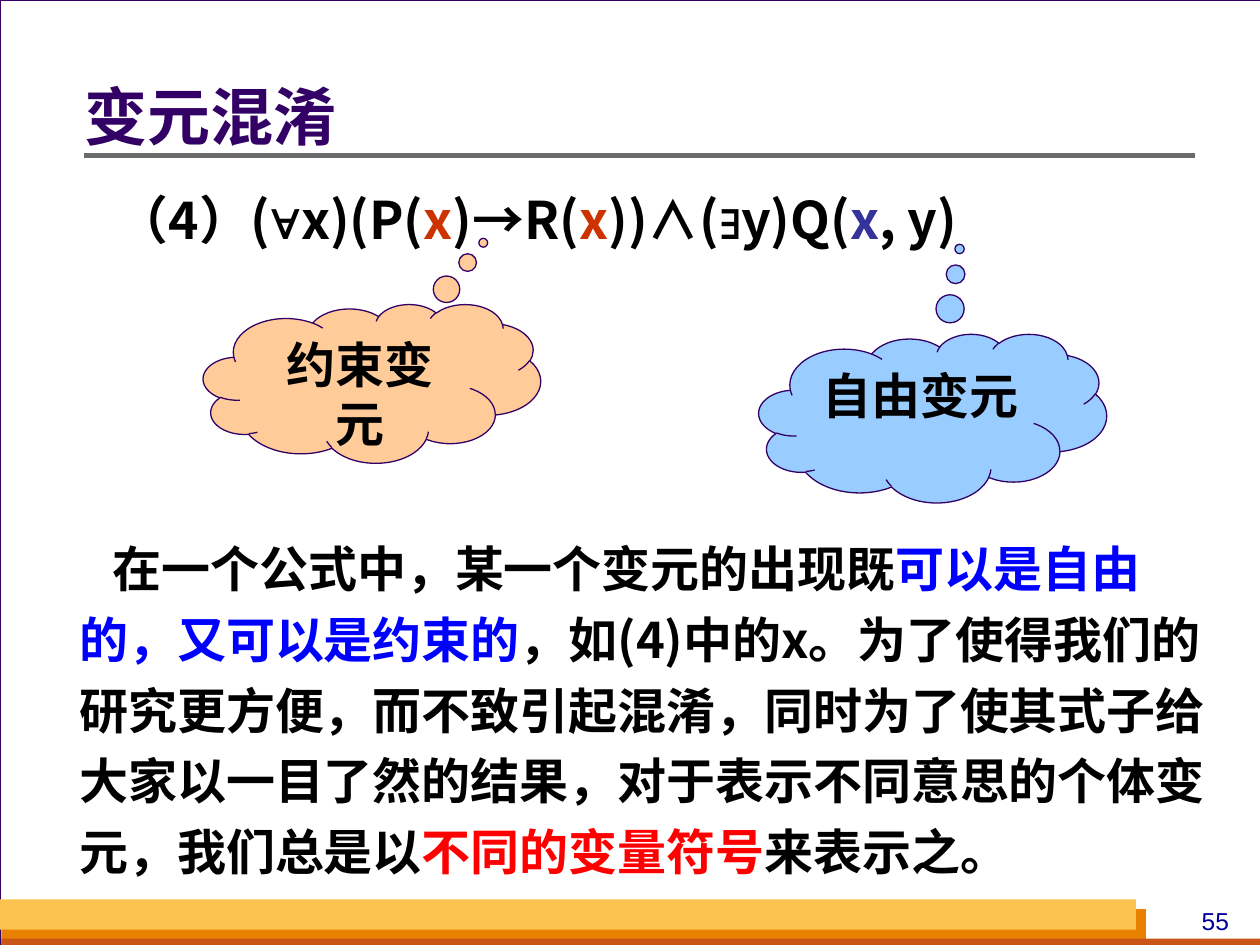
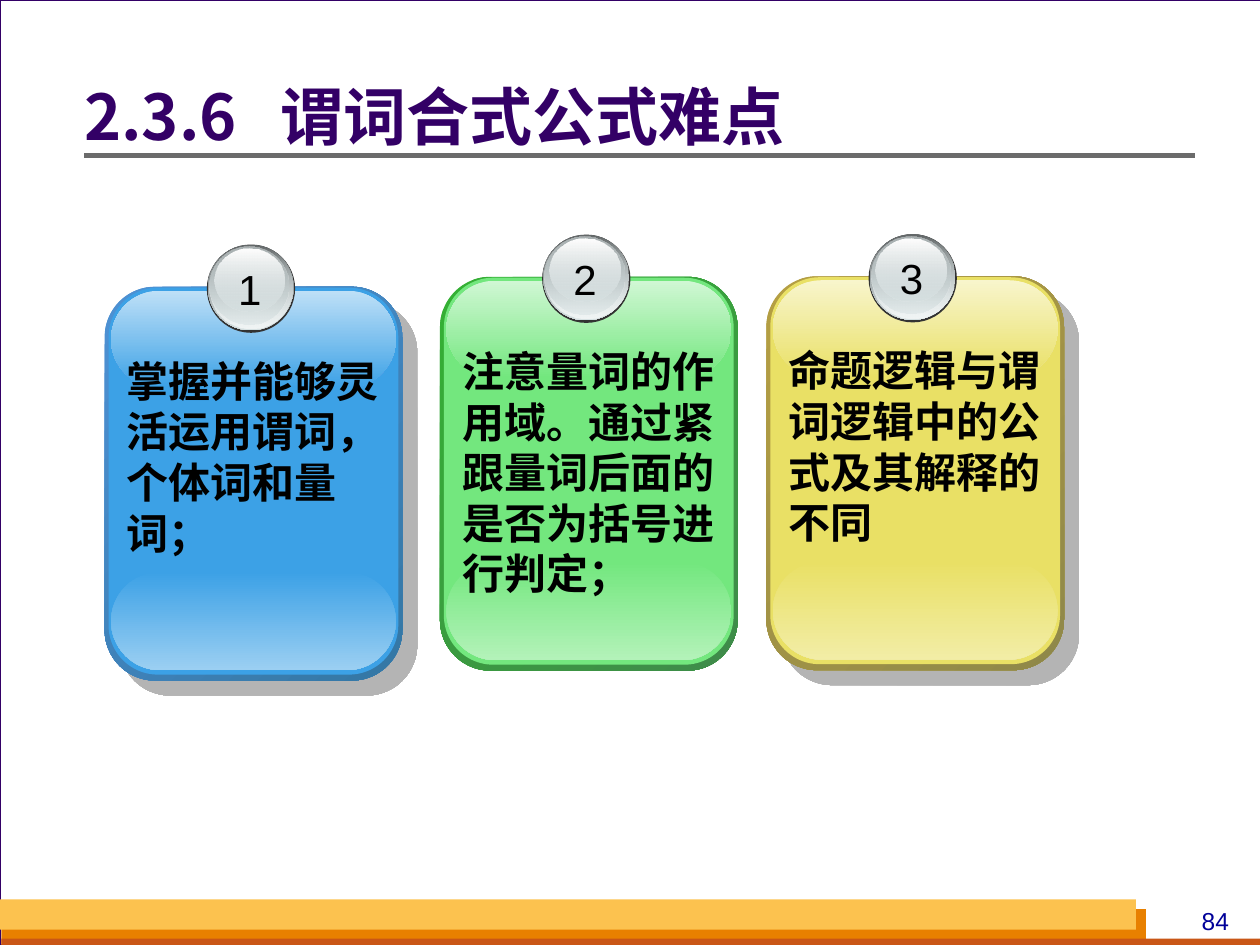
from dataclasses import dataclass
from typing import NamedTuple

from lxml.etree import SubElement
from pptx import Presentation
from pptx.dml.color import RGBColor
from pptx.enum.shapes import MSO_CONNECTOR, MSO_SHAPE as SHAPE
from pptx.enum.text import MSO_ANCHOR as ANCHOR, PP_ALIGN as ALIGN
from pptx.oxml.ns import qn
from pptx.util import Cm, Pt

WHITE = RGBColor(0xFF, 0xFF, 0xFF)
BLACK = RGBColor(0x00, 0x00, 0x00)
BACKDROP = RGBColor(0xD8, 0xDA, 0xDA)
PURPLE = RGBColor(0x33, 0x00, 0x66)
GREY = RGBColor(0x6B, 0x6B, 0x6B)
NAVY = RGBColor(0x00, 0x00, 0x99)
ORANGE = RGBColor(0xE8, 0x80, 0x00)
RUST = RGBColor(0xC9, 0x56, 0x16)
AMBER = RGBColor(0xFC, 0xC2, 0x4F)
BOUND = RGBColor(0xCC, 0x33, 0x00)
FREE = RGBColor(0x33, 0x33, 0x99)
BLUE = RGBColor(0x00, 0x00, 0xFF)
RED = RGBColor(0xFF, 0x00, 0x00)
PEACH = RGBColor(0xFF, 0xCC, 0x99)
SKY = RGBColor(0x99, 0xCC, 0xFF)
RIM = RGBColor(0x33, 0x33, 0x33)
STEEL = RGBColor(0x63, 0x68, 0x69)
SILVER = RGBColor(0xD6, 0xE1, 0xE2)
PALE = RGBColor(0xF1, 0xF5, 0xF5)
ASH = RGBColor(0xAA, 0xB2, 0xB3)

SANS, ARIAL, DEJAVU = "Noto Sans CJK SC", "Arial", "DejaVu Sans"


class Box(NamedTuple):
    x: float
    y: float
    w: float
    h: float

    def moved(self, dx: float, dy: float) -> "Box":
        return Box(self.x + dx, self.y + dy, self.w, self.h)

    def lengths(self) -> list:
        return [Cm(v) for v in self]


class Span(NamedTuple):
    text: str
    color: RGBColor = BLACK
    font: str = ""


class Gradient(NamedTuple):
    start: RGBColor
    end: RGBColor
    angle: int = 90
    start_alpha: int = 100
    end_alpha: int = 100


class Layer(NamedTuple):
    box: Box
    paint: "RGBColor | Gradient"


@dataclass(frozen=True)
class TextStyle:
    size: float
    font: str
    bold: bool = True
    align: ALIGN = ALIGN.LEFT
    leading: float = 0
    indent: float = 0
    tab: float = 0


@dataclass(frozen=True)
class Cloud:
    text: str
    box: Box
    tail: tuple[float, float]
    color: RGBColor
    side: float


@dataclass(frozen=True)
class Card:
    number: str
    text: str
    x: float
    y: float
    edge: Gradient
    face: RGBColor
    top: RGBColor
    bottom: RGBColor
    shadow: bool = True


TITLE = TextStyle(36, SANS, leading=36, tab=3.95)
FORMULA = TextStyle(29.6, SANS, leading=39.2)
BODY = TextStyle(28, SANS, leading=40.4, indent=0.67)
CLOUD = TextStyle(28, ARIAL, align=ALIGN.CENTER, leading=33.6)
PAGE = TextStyle(14, ARIAL, bold=False, align=ALIGN.CENTER)
NUMBER = TextStyle(24, ARIAL, bold=False, align=ALIGN.CENTER)
CARD = TextStyle(24, DEJAVU, leading=28.9)

BANDS = (
    Layer(Box(0.03, 18.33, 23.07, 0.72), ORANGE),
    Layer(Box(0.03, 18.92, 25.4, 0.2), RUST),
    Layer(Box(0, 18.13, 22.9, 0.61), AMBER),
)

BUTTON = (
    Layer(Box(2.06, -0.85, 1.78, 1.78), RIM),
    Layer(Box(2.08, -0.85, 1.73, 1.73), Gradient(STEEL, SILVER)),
    Layer(Box(2.11, -0.83, 1.68, 1.68), Gradient(SILVER, PALE, start_alpha=0)),
    Layer(Box(2.11, -0.81, 1.6, 1.57), Gradient(ASH, SILVER, end_alpha=48)),
    Layer(Box(2.21, -0.77, 1.42, 1.27), Gradient(WHITE, SILVER, end_alpha=38)),
)

FORMULA_SPANS = [
    Span("（4）("), Span("∀", font=ARIAL), Span("x)(P("), Span("x", BOUND),
    Span(")→R("), Span("x", BOUND), Span("))∧("), Span("∃", font=ARIAL),
    Span("y)Q("), Span("x", FREE), Span(", y)"),
]

BODY_SPANS = [
    Span("在一个公式中，某一个变元的出现既"),
    Span("可以是自由的，又可以是约束的", BLUE),
    Span("，如(4)中的x。为了使得我们的研究更方便，而不致引起混淆，同时为了使其式子"
         "给大家以一目了然的结果，对于表示不同意思的个体变元，我们总是以"),
    Span("不同的变量符号", RED),
    Span("来表示之。"),
]

CLOUDS = (
    Cloud("约束变元", Box(4.1, 6.13, 6.8, 3.2), (0.33, -0.886), PEACH, side=0.5),
    Cloud("自由变元", Box(15.3, 6.73, 7.01, 3.4), (0.077, -1.003), SKY, side=0.25),
)

CARDS = (
    Card("1", "掌握并能够灵活运用谓词，个体词和量词；", 2.11, 5.78,
         Gradient(RGBColor(0x4E, 0x91, 0xD4), RGBColor(0x34, 0x77, 0xA4), 45),
         RGBColor(0x3C, 0xA1, 0xE6), RGBColor(0xBE, 0xE0, 0xF7),
         RGBColor(0x9B, 0xCF, 0xF2)),
    Card("2", "注意量词的作用域。通过紧跟量词后面的是否为括号进行判定；", 8.87, 5.58,
         Gradient(RGBColor(0x34, 0xB0, 0x34), RGBColor(0x3F, 0x8B, 0x4A), 45),
         RGBColor(0x73, 0xE7, 0x7E), RGBColor(0xD0, 0xF7, 0xD4),
         RGBColor(0xB3, 0xF2, 0xB9), shadow=False),
    Card("3", "命题逻辑与谓词逻辑中的公式及其解释的不同", 15.45, 5.57,
         Gradient(RGBColor(0xB5, 0x9F, 0x43), RGBColor(0x8F, 0x88, 0x49), 45),
         RGBColor(0xE9, 0xE0, 0x65), RGBColor(0xF8, 0xF5, 0xCC),
         RGBColor(0xF2, 0xED, 0xA6)),
)


def write(s, spans: list[Span], style: TextStyle, anchor=ANCHOR.TOP,
          inset=(0.25, 0.13, 0.25, 0.13), wrap: bool = True) -> None:
    tf = s.text_frame
    sides = ("margin_left", "margin_top", "margin_right", "margin_bottom")
    frame = dict(zip(sides, map(Cm, inset)))
    frame |= {"word_wrap": wrap, "vertical_anchor": anchor}
    for key, value in frame.items():
        setattr(tf, key, value)
    p = tf.paragraphs[0]
    p.alignment = style.align
    if style.leading:
        p.line_spacing = Pt(style.leading)
    pPr = p._p.get_or_add_pPr()
    pPr.set("hangingPunct", "0")
    if style.indent:
        pPr.set("indent", str(Cm(style.indent)))
    if style.tab:
        tabs = SubElement(pPr, qn("a:tabLst"))
        SubElement(tabs, qn("a:tab"), pos=str(Cm(style.tab)), algn="l")
    for span in spans:
        r = p.add_run()
        r.text = span.text
        font = span.font or style.font
        for key, value in {"size": Pt(style.size), "bold": style.bold, "name": font}.items():
            setattr(r.font, key, value)
        r.font.color.rgb = span.color
        SubElement(r._r.get_or_add_rPr(), qn("a:ea"), typeface=font)


def add_text(shapes, box: Box, spans: list[Span], style: TextStyle, **layout) -> None:
    write(shapes.add_textbox(*box.lengths()), spans, style, **layout)


def paint_gradient(s, paint: Gradient) -> None:
    s.fill.gradient()
    s.fill.gradient_angle = 360 - paint.angle
    for stop, color in zip(s.fill.gradient_stops, (paint.start, paint.end)):
        stop.color.rgb = color
    alphas = (paint.start_alpha, paint.end_alpha)
    for color, alpha in zip(s._element.spPr.iter(qn("a:srgbClr")), alphas):
        if alpha < 100:
            SubElement(color, qn("a:alpha"), val=str(alpha * 1000))


def add_shape(shapes, kind: SHAPE, layer: Layer, line: RGBColor | None = None,
              adjust: tuple[float, ...] = ()):
    s = shapes.add_shape(kind, *layer.box.lengths())
    s.shadow.inherit = False
    for i, value in enumerate(adjust):
        s.adjustments[i] = value
    if isinstance(layer.paint, Gradient):
        paint_gradient(s, layer.paint)
    else:
        s.fill.solid()
        s.fill.fore_color.rgb = layer.paint
    if line is None:
        s.line.fill.background()
    else:
        s.line.color.rgb = line
        s.line.width = Pt(0.75)
    return s


def add_shadow(s) -> None:
    effects = s._element.spPr.find(qn("a:effectLst"))
    shadow = SubElement(effects, qn("a:outerShdw"), dist=str(Pt(12.1)),
                        dir="2700000", algn="ctr", rotWithShape="0")
    color = SubElement(shadow, qn("a:srgbClr"), val=str(GREY))
    SubElement(color, qn("a:alpha"), val="50000")


def add_base(prs, title: str, page: str):
    slide = prs.slides.add_slide(prs.slide_layouts[6])
    slide.background.fill.solid()
    slide.background.fill.fore_color.rgb = BACKDROP
    shapes = slide.shapes
    add_shape(shapes, SHAPE.RECTANGLE, Layer(Box(0, 0, 25.43, 19.05), WHITE), PURPLE)
    for band in BANDS:
        add_shape(shapes, SHAPE.RECTANGLE, band)
    add_text(shapes, Box(23.7, 18.14, 1.6, 0.86), [Span(page, NAVY)], PAGE)
    rule = shapes.add_connector(MSO_CONNECTOR.STRAIGHT, Cm(1.7), Cm(3.13), Cm(24.09), Cm(3.13))
    rule.line.color.rgb = GREY
    rule.line.width = Pt(3)
    SubElement(rule._element.spPr, qn("a:effectLst"))
    add_text(shapes, Box(1.7, 1.17, 22.4, 2.57), [Span(title, PURPLE)], TITLE,
             anchor=ANCHOR.MIDDLE, inset=(0, 0.13, 0.25, 0.13))
    return shapes


def add_cloud(shapes, cloud: Cloud) -> None:
    s = add_shape(shapes, SHAPE.CLOUD_CALLOUT, Layer(cloud.box, cloud.color), PURPLE, cloud.tail)
    write(s, [Span(cloud.text)], CLOUD, inset=(cloud.side, 0.13) * 2)


def add_card(shapes, card: Card) -> None:
    group = shapes.add_group_shape().shapes
    panels = (
        (Box(0, 0, 6, 7.94), card.edge, 0.17),
        (Box(0.08, 0.02, 5.84, 7.8), card.face, 0.17),
        (Box(0.13, 5.75, 5.74, 1.98), Gradient(card.face, card.bottom), 0.5),
        (Box(0.13, 0.08, 5.74, 1.96), Gradient(card.top, card.face), 0.5),
    )
    drawn = [add_shape(group, SHAPE.ROUNDED_RECTANGLE,
                       Layer(box.moved(card.x, card.y), paint), adjust=(corner,))
             for box, paint, corner in panels]
    if card.shadow:
        add_shadow(drawn[0])
    for ring in BUTTON:
        add_shape(group, SHAPE.OVAL, Layer(ring.box.moved(card.x, card.y), ring.paint))
    add_text(group, Box(2.44, -0.6, 0.97, 1.27).moved(card.x, card.y),
             [Span(card.number)], NUMBER, wrap=False)
    add_text(group, Box(0.2, 1.25, 5.72, 5.33).moved(card.x, card.y), [Span(card.text)], CARD)


def main() -> None:
    prs = Presentation()
    prs.slide_width, prs.slide_height = Cm(25.4), Cm(19.05)

    shapes = add_base(prs, "变元混淆", "55")
    add_text(shapes, Box(2.1, 3.53, 22.4, 2.34), FORMULA_SPANS, FORMULA)
    for cloud in CLOUDS:
        add_cloud(shapes, cloud)
    add_text(shapes, Box(1.5, 10.52, 23.06, 7.32), BODY_SPANS, BODY, inset=(0.1,) * 4)

    shapes = add_base(prs, "2.3.6\t谓词合式公式难点", "84")
    for card in CARDS:
        add_card(shapes, card)

    prs.save("out.pptx")


if __name__ == "__main__":
    main()
